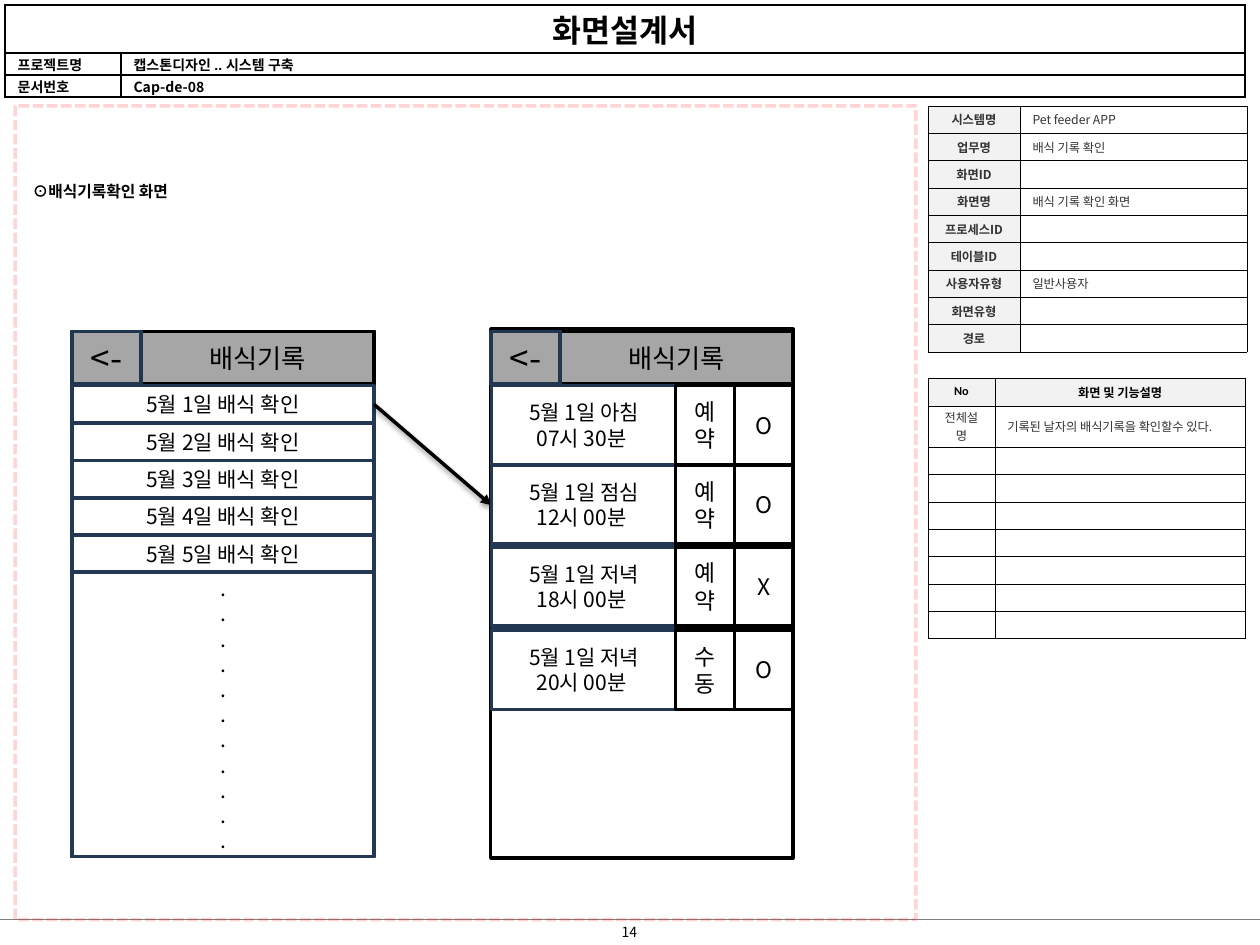
"""Builds the screen design sheet for the feeding record screens."""
from dataclasses import dataclass
from typing import Optional

from lxml import etree
from pptx import Presentation
from pptx import util as u
from pptx.dml.color import RGBColor
from pptx.enum import dml, shapes, text
from pptx.oxml import parse_xml
from pptx.oxml.ns import nsdecls, qn

UNIT = u.Inches(0.1)
FONT = "Noto Sans CJK KR"
BLACK, WHITE, NAVY, GREY = "000000", "FFFFFF", "233953", "A6A6A6"
INK, PALE = "333333", "F2F2F2"
CENTER, LEFT = text.PP_ALIGN.CENTER, text.PP_ALIGN.LEFT
MIDDLE, TOP = text.MSO_ANCHOR.MIDDLE, text.MSO_ANCHOR.TOP


@dataclass(frozen=True)
class Box:
    """A rectangle on a grid of 100 columns by 75 rows."""
    left: float
    top: float
    width: float
    height: float

    def emu(self) -> list[int]:
        """Return the rectangle as slide lengths."""
        return [round(v * UNIT) for v in (self.left, self.top, self.width, self.height)]


@dataclass(frozen=True)
class Style:
    """The look of a piece of text."""
    size: float
    bold: bool = False
    color: str = BLACK
    align: int = CENTER
    font: str = FONT


@dataclass(frozen=True)
class Entry:
    """The content of a table cell."""
    words: str
    style: Style
    fill: Optional[str] = None


@dataclass(frozen=True)
class Feeding:
    """One feeding on the detail screen."""
    top: float
    meal: str
    time: str
    mode: str
    result: str


def rgb(value: str) -> RGBColor:
    """Turn a hex string into a colour."""
    return RGBColor.from_string(value)


def write(frame, lines: list[str], style: Style) -> None:
    """Write each line as a paragraph of one run."""
    for index, line in enumerate(lines):
        paragraph = frame.paragraphs[0] if index == 0 else frame.add_paragraph()
        paragraph.alignment = style.align
        if not line:
            paragraph._p.get_or_add_endParaRPr().set("sz", str(round(style.size * 100)))
            continue
        run = paragraph.add_run()
        run.text = line
        run.font.size = u.Pt(style.size)
        run.font.bold = style.bold
        run.font.color.rgb = rgb(style.color)
        run.font.name = style.font
        etree.SubElement(run.font._element, qn("a:ea")).set("typeface", FONT)


def add_box(slide, box: Box, lines: list[str], style: Style,
            fill: str = WHITE, line: str = BLACK) -> None:
    """Draw an outlined rectangle with centred text."""
    shape = slide.shapes.add_shape(shapes.MSO_SHAPE.RECTANGLE, *box.emu())
    shape.shadow.inherit = False
    shape.fill.solid()
    shape.fill.fore_color.rgb = rgb(fill)
    shape.line.color.rgb = rgb(line)
    shape.line.width = u.Pt(2)
    shape.text_frame.word_wrap = True
    shape.text_frame.vertical_anchor = MIDDLE
    write(shape.text_frame, lines, style)


def add_label(slide, box: Box, words: str, style: Style) -> None:
    """Add a plain text box."""
    frame = slide.shapes.add_textbox(*box.emu()).text_frame
    frame.word_wrap = True
    write(frame, [words], style)


def add_area(slide, box: Box) -> None:
    """Draw the faint dashed frame around the drawing area."""
    shape = slide.shapes.add_shape(shapes.MSO_SHAPE.RECTANGLE, *box.emu())
    shape.shadow.inherit = False
    shape.fill.background()
    shape.line.color.rgb = rgb("FF0000")
    shape.line.width = u.Pt(2)
    shape.line.dash_style = dml.MSO_LINE.SQUARE_DOT
    shape.line._ln.find(qn("a:prstDash")).set("val", "sysDash")
    color = shape.line._ln.find(".//" + qn("a:srgbClr"))
    etree.SubElement(color, qn("a:alpha")).set("val", "16000")


def add_line(slide, start: tuple[float, float], end: tuple[float, float],
             color: str, width: float, arrow: bool = False) -> None:
    """Draw a straight line, or an arrow with a soft shadow."""
    points = [round(value * UNIT) for value in (*start, *end)]
    line = slide.shapes.add_connector(shapes.MSO_CONNECTOR.STRAIGHT, *points)
    line.line.color.rgb = rgb(color)
    line.line.width = u.Pt(width)
    effects = etree.SubElement(line._element.spPr, qn("a:effectLst"))
    if arrow:
        etree.SubElement(line.line._ln, qn("a:tailEnd")).set("type", "triangle")
        effects.append(parse_xml(
            f'<a:outerShdw {nsdecls("a")} blurRad="39370" dist="20320" dir="5400000" rotWithShape="0">'
            f'<a:srgbClr val="{BLACK}"><a:alpha val="38000"/></a:srgbClr></a:outerShdw>'))


def add_borders(cell, width: float) -> None:
    """Give a cell black borders on all sides."""
    properties = cell._tc.get_or_add_tcPr()
    for side in ("lnL", "lnR", "lnT", "lnB"):
        properties.append(parse_xml(
            f'<a:{side} {nsdecls("a")} w="{u.Pt(width)}"><a:solidFill>'
            f'<a:srgbClr val="{BLACK}"/></a:solidFill></a:{side}>'))


def add_table(slide, left: float, top: float, columns: list[float], rows: list[float],
              entries: list[list[Entry]], border: float, margin: float, anchor: int):
    """Draw a bordered table and return it."""
    box = Box(left, top, sum(columns), sum(rows))
    table = slide.shapes.add_table(len(rows), len(columns), *box.emu()).table
    table.first_row = table.horz_banding = False
    for column, width in zip(table.columns, columns):
        column.width = round(width * UNIT)
    for row, height, line in zip(table.rows, rows, entries):
        row.height = round(height * UNIT)
        for cell, entry in zip(row.cells, line):
            cell.margin_top = cell.margin_bottom = round(margin * UNIT)
            cell.vertical_anchor = anchor
            add_borders(cell, border)
            if entry.fill:
                cell.fill.solid()
                cell.fill.fore_color.rgb = rgb(entry.fill)
            else:
                cell.fill.background()
            write(cell.text_frame, [entry.words], entry.style)
    return table


def add_header(slide) -> None:
    """Draw the title table across the top."""
    name, value = Style(8, True, align=LEFT, font="Arial"), Style(8, True, align=LEFT)
    entries = [[Entry("화면설계서", Style(18, True), WHITE), Entry("", value, WHITE)],
               [Entry("프로젝트명", name, WHITE), Entry("캡스톤디자인 .. 시스템 구축", name, WHITE)],
               [Entry("문서번호", name, WHITE), Entry("Cap-de-08", value, WHITE)]]
    table = add_table(slide, 0.4, 0.4, [9.2, 89.2], [3.8, 1.75, 1.75], entries, 1, 0.1, TOP)
    table.cell(0, 0).merge(table.cell(0, 1))


def add_side_tables(slide) -> None:
    """Draw the screen facts and the function notes."""
    head, body = Style(7, True, INK), Style(7, False, INK, LEFT)
    facts = [("시스템명", "Pet feeder APP"), ("업무명", "배식 기록 확인"), ("화면ID", ""),
             ("화면명", "배식 기록 확인 화면"), ("프로세스ID", ""), ("테이블ID", ""),
             ("사용자유형", "일반사용자"), ("화면유형", ""), ("경로", "")]
    row = 2.17
    entries = [[Entry(name, head, PALE), Entry(value, body)] for name, value in facts]
    add_table(slide, 73.65, 8.4, [7.3, 18], [row] * 9, entries, 0.25, 0.2, MIDDLE)
    notes = [[Entry("No", Style(7, True, font="Calibri"), PALE),
              Entry("화면 및 기능설명", Style(7, True, font="Arial"), PALE)],
             [Entry("전체설명", Style(7, False, INK)),
              Entry("기록된 날자의 배식기록을 확인할수 있다.", body)]]
    notes += [[Entry("", body)] * 2] * 7
    add_table(slide, 73.65, 30, [5.3, 19.9], [2.2, 3.3] + [row] * 7, notes, 0.25, 0.2, MIDDLE)


def add_screen(slide, left: float, top: float, height: float) -> None:
    """Draw an app screen with its back button and title bar."""
    add_box(slide, Box(left, top, 24, height), [], Style(12))
    add_box(slide, Box(left + 5.5, 26.3, 18.5, 4.2), ["배식기록"], Style(15), GREY)
    add_box(slide, Box(left, 26.3, 5.5, 4.2), ["<-"], Style(20), GREY, "21364F")


def main() -> None:
    """Build and save the slide."""
    presentation = Presentation()
    presentation.slide_width, presentation.slide_height = 100 * UNIT, 75 * UNIT
    slide = presentation.slides.add_slide(presentation.slide_layouts[6])
    add_line(slide, (0, 73), (100, 73), "808080", 0.75)
    add_label(slide, Box(47.2, 72.8, 5.5, 2.4), "14", Style(8))
    add_header(slide)
    add_area(slide, Box(1.2, 8.4, 71.5, 64.6))
    add_label(slide, Box(1.6, 13.9, 37.8, 2.5), "⊙배식기록확인 화면", Style(9, True, align=LEFT))

    add_screen(slide, 5.7, 26.3, 41.7)
    for day in range(1, 6):
        box = Box(5.7, 30.6 + 2.97 * (day - 1), 24, 2.97)
        add_box(slide, box, [f"5월 {day}일 배식 확인"], Style(12), line=NAVY)
    add_box(slide, Box(5.7, 45.4, 24, 22.6), ["."] * 11, Style(12), line=NAVY)
    add_line(slide, (29.7, 32.1), (39, 40.1), BLACK, 2, arrow=True)

    add_screen(slide, 38.95, 26.1, 42)
    for feeding in (Feeding(30.6, "아침", "07시 30분", "예약", "O"),
                    Feeding(36.9, "점심", "12시 00분", "예약", "O"),
                    Feeding(43.4, "저녁", "18시 00분", "예약", "X"),
                    Feeding(50, "저녁", "20시 00분", "수동", "O")):
        lines = [f"5월 1일 {feeding.meal}", f"{feeding.time} "]
        add_box(slide, Box(39, feeding.top, 14.7, 6.3), lines, Style(12), line=NAVY)
        add_box(slide, Box(58.25, feeding.top, 4.7, 6.3), [feeding.result], Style(13))
        add_box(slide, Box(53.6, feeding.top, 4.7, 6.3), [feeding.mode], Style(13))
    add_side_tables(slide)
    presentation.save("out.pptx")


if __name__ == "__main__":
    main()
